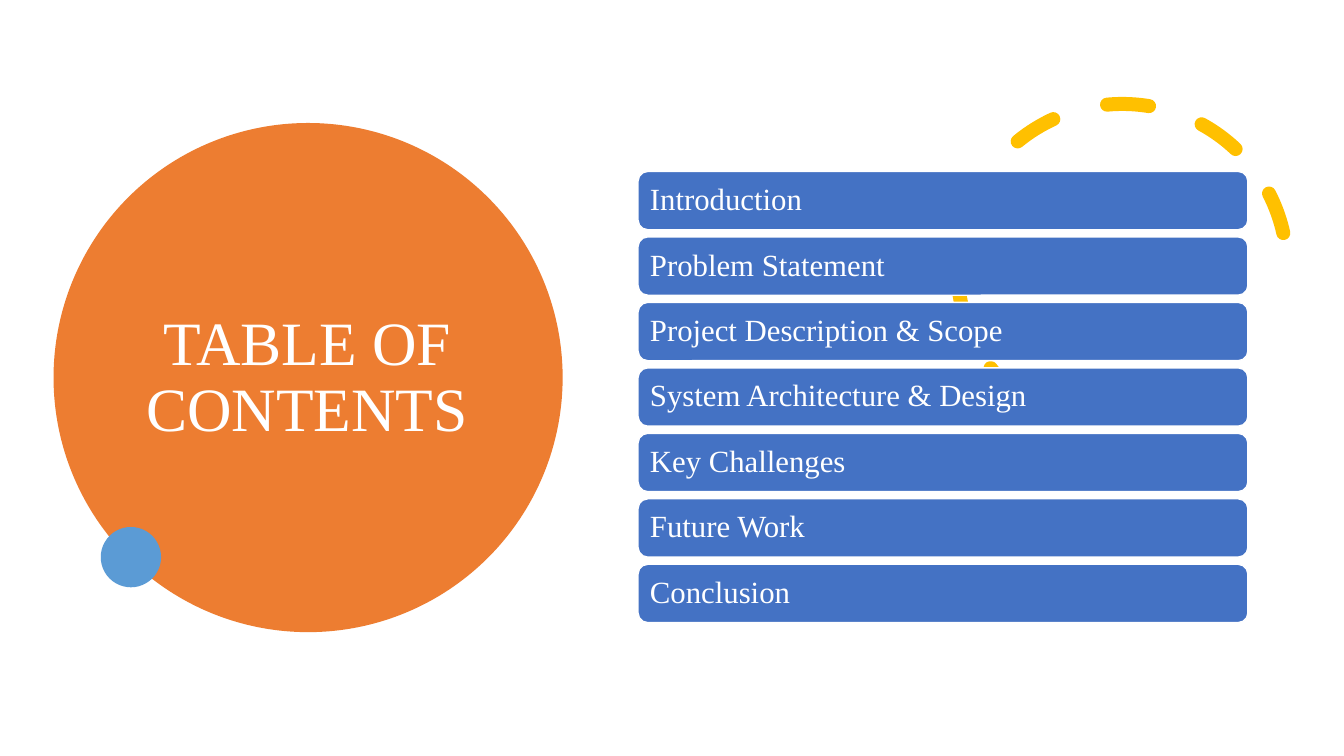
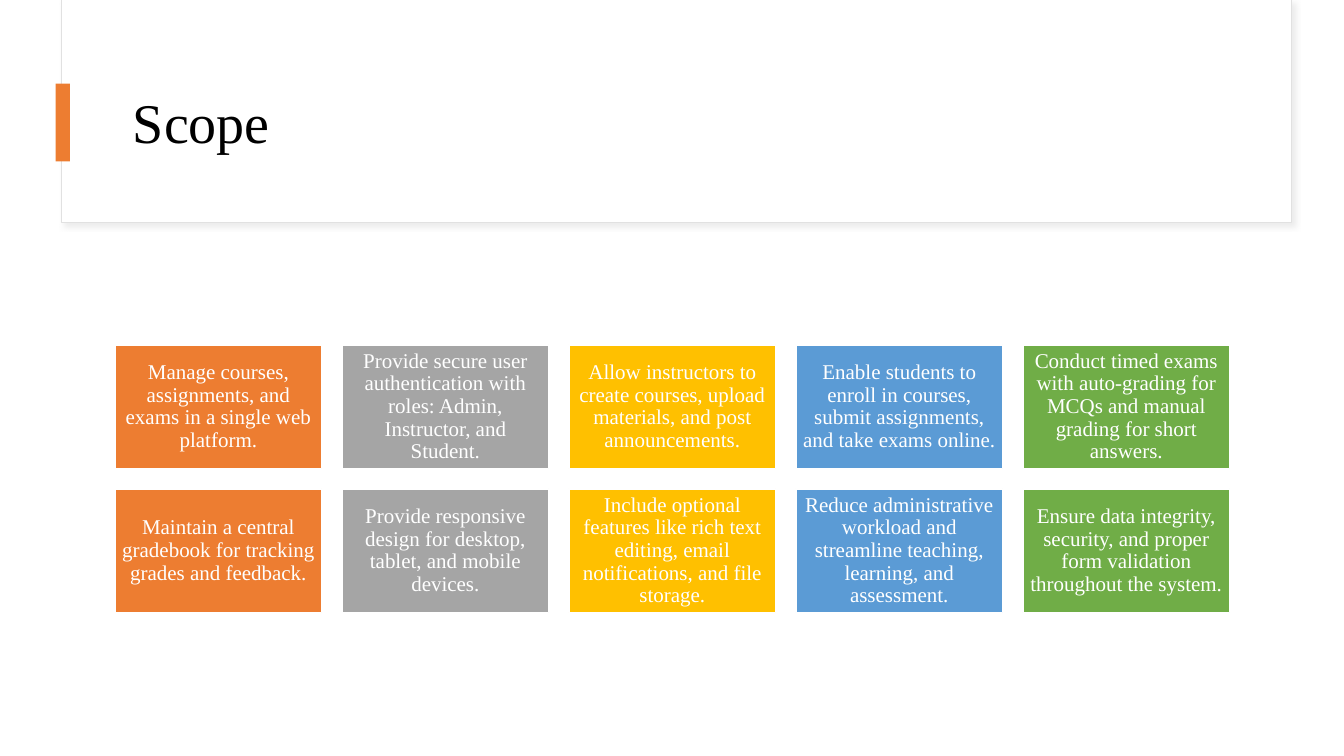
from lxml import etree
from pptx import Presentation
from pptx.dml.color import RGBColor
from pptx.enum.dml import MSO_LINE_DASH_STYLE as Dash
from pptx.enum.shapes import MSO_SHAPE as Shape
from pptx.enum.text import MSO_ANCHOR as Anchor, PP_ALIGN as Align
from pptx.oxml.ns import qn
from pptx.util import Cm, Pt

# Content
CONTENTS_TITLE = "TABLE OF CONTENTS"
CHAPTERS = [
    "Introduction",
    "Problem Statement",
    "Project Description & Scope",
    "System Architecture & Design",
    "Key Challenges",
    "Future Work",
    "Conclusion",
]
SCOPE_TITLE = "Scope"
SCOPE_ROWS = [
    [
        "Manage courses, assignments, and exams in a single web platform.",
        "Provide secure user authentication with roles: Admin, Instructor, and Student.",
        "Allow instructors to create courses, upload materials, and post announcements.",
        "Enable students to enroll in courses, submit assignments, and take exams online.",
        "Conduct timed exams with auto-grading for MCQs and manual grading for short answers.",
    ],
    [
        "Maintain a central gradebook for tracking grades and feedback.",
        "Provide responsive design for desktop, tablet, and mobile devices.",
        "Include optional features like rich text editing, email notifications, and file storage.",
        "Reduce administrative workload and streamline teaching, learning, and assessment.",
        "Ensure data integrity, security, and proper form validation throughout the system.",
    ],
]

# Shared style
FONT = "Times New Roman"
WHITE, BLACK, BORDER, SHADOW = "FFFFFF", "000000", "E1E1E1", "D9D9D9"
NAVY, ORANGE, GRAY, GOLD, BLUE, GREEN = (
    "4472C4", "ED7D31", "A5A5A5", "FFC000", "5B9BD5", "70AD47")
COLUMN_COLORS = [ORANGE, GRAY, GOLD, BLUE, GREEN]


def color(value):
    return RGBColor.from_string(value)


def write(shape, text, size, text_color, align, inset):
    frame = shape.text_frame
    frame.word_wrap = True
    frame.vertical_anchor = Anchor.MIDDLE
    frame.margin_left = frame.margin_right = Cm(inset)
    frame.margin_top = frame.margin_bottom = Cm(inset)
    paragraph = frame.paragraphs[0]
    paragraph.alignment = align
    paragraph.line_spacing = 0.9
    run = paragraph.add_run()
    run.text = text
    run.font.name = FONT
    run.font.size = Pt(size)
    run.font.color.rgb = color(text_color)


def add_shape(slide, kind, box, fill=None, line=None, width=1):
    shape = slide.shapes.add_shape(kind, *map(Cm, box))
    shape.shadow.inherit = False
    if fill:
        shape.fill.solid()
        shape.fill.fore_color.rgb = color(fill)
    else:
        shape.fill.background()
    if line:
        shape.line.color.rgb = color(line)
        shape.line.width = Pt(width)
    else:
        shape.line.fill.background()
    return shape


def add_title(slide, text, box, size, text_color, align):
    title = slide.shapes.add_textbox(*map(Cm, box))
    write(title, text, size, text_color, align, 0.25)


def add_soft_shadow(shape):
    effects = shape._element.spPr.find(qn("a:effectLst"))
    shadow = etree.SubElement(effects, qn("a:outerShdw"), blurRad=str(Pt(4)),
                              dist=str(Pt(3)), dir=str(45 * 60000), rotWithShape="0")
    tint = etree.SubElement(shadow, qn("a:srgbClr"), val=SHADOW)
    etree.SubElement(tint, qn("a:alpha"), val="50000")


def build_contents(slide):
    # Title disc
    add_shape(slide, Shape.OVAL, (1.35, 3.1, 12.83, 12.83), ORANGE)
    add_title(slide, CONTENTS_TITLE, (3.25, 3.89, 8.99, 11.3), 44, WHITE, Align.CENTER)

    # Dashed arc, partly behind the chapter bars
    arc = add_shape(slide, Shape.ARC, (24.13, 2.62, 8.31, 8.31), None, GOLD, 10)
    for index, degrees in enumerate((158.17, 17.81)):
        arc.adjustments[index] = degrees * 0.6
    arc.rotation = 330.2
    arc.line.dash_style = Dash.DASH
    arc.line._ln.set("cap", "rnd")

    add_shape(slide, Shape.OVAL, (2.54, 13.28, 1.52, 1.52), BLUE)

    # Chapter bars
    left, top, width, height, gap = 16.08, 4.32, 15.37, 1.47, 0.18
    for index, chapter in enumerate(CHAPTERS):
        box = (left, top + index * (height + gap), width, height)
        bar = add_shape(slide, Shape.ROUNDED_RECTANGLE, box, NAVY, WHITE)
        write(bar, chapter, 22, WHITE, Align.LEFT, 0.23)


def build_scope(slide):
    # Title band with accent
    band = add_shape(slide, Shape.RECTANGLE, (1.55, 0, 31.01, 5.61), WHITE, BORDER, 0.75)
    add_soft_shadow(band)
    add_title(slide, SCOPE_TITLE, (3.1, 1.52, 28.24, 3.28), 40, BLACK, Align.LEFT)
    add_shape(slide, Shape.RECTANGLE, (1.4, 2.11, 0.36, 1.96), ORANGE)

    # Card grid
    left, top, width, height, gap = 2.9, 8.69, 5.21, 3.12, 0.51
    for row, texts in enumerate(SCOPE_ROWS):
        for column, (text, fill) in enumerate(zip(texts, COLUMN_COLORS)):
            box = (left + column * (width + gap), top + row * (height + gap), width, height)
            card = add_shape(slide, Shape.RECTANGLE, box, fill, WHITE)
            write(card, text, 15, WHITE, Align.CENTER, 0.14)


def main():
    presentation = Presentation()
    presentation.slide_width = Cm(33.87)
    presentation.slide_height = Cm(19.05)
    blank = presentation.slide_layouts[6]
    for build in (build_contents, build_scope):
        build(presentation.slides.add_slide(blank))
    presentation.save("out.pptx")


if __name__ == "__main__":
    main()
